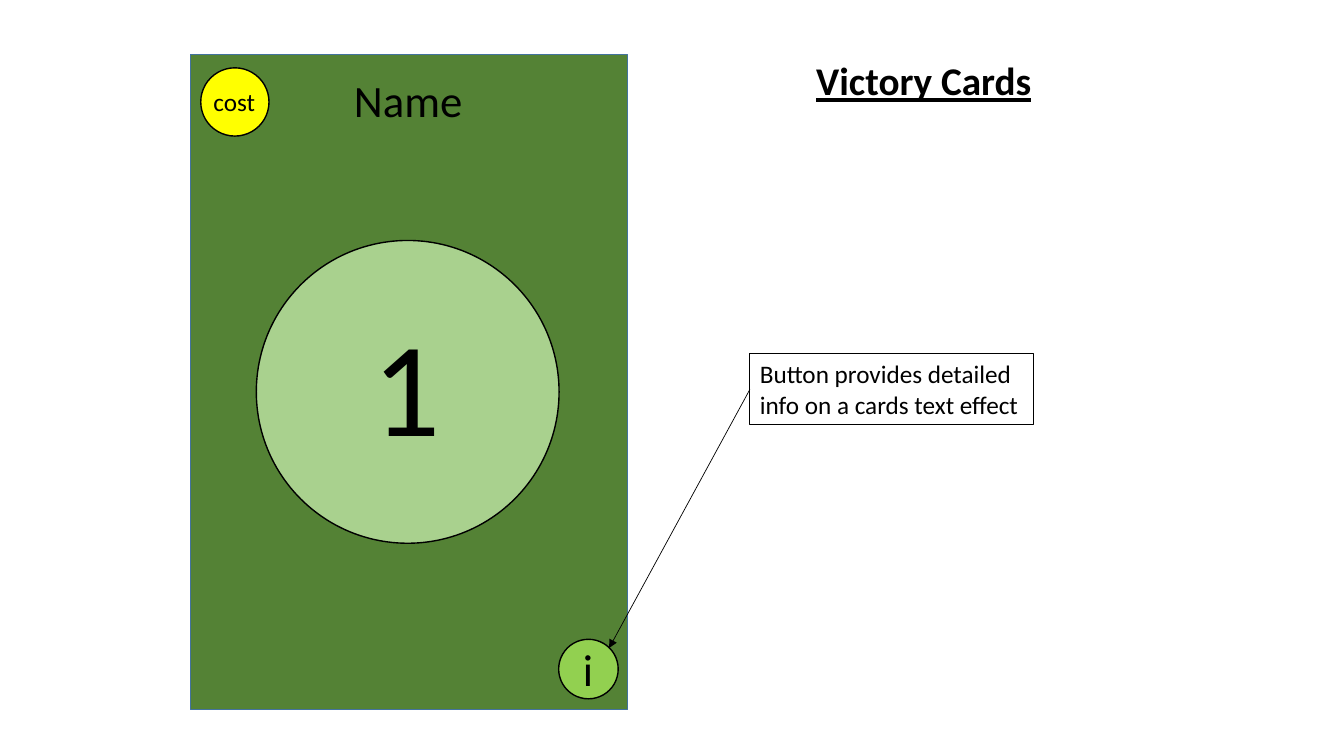
from dataclasses import dataclass

from lxml.etree import SubElement
from pptx import Presentation
from pptx.dml.color import RGBColor
from pptx.enum.shapes import MSO_CONNECTOR, MSO_SHAPE
from pptx.enum.text import MSO_ANCHOR, MSO_AUTO_SIZE, PP_ALIGN
from pptx.oxml.ns import qn
from pptx.util import Cm, Pt


@dataclass(frozen=True)
class Theme:
    """Colours, font and type sizes of the slide."""
    font: str = "Calibri"
    ink: str = "000000"
    card: str = "548235"
    card_edge: str = "43739E"
    cost: str = "FFFF00"
    info: str = "92D050"
    points: str = "A9D18E"
    small: int = 18
    title: int = 28
    label: int = 32
    huge: int = 96


THEME = Theme()


def rgb(value):
    """Turn a hex string into a colour."""
    return RGBColor.from_string(value)


def write(sp, text, size, bold=False, underline=False, wrap=False):
    """Put left-aligned text in a shape and format it."""
    tf = sp.text_frame
    tf.word_wrap = wrap
    tf.auto_size = MSO_AUTO_SIZE.NONE
    tf.vertical_anchor = MSO_ANCHOR.TOP
    tf.margin_left = tf.margin_right = Cm(0.25)
    tf.margin_top = tf.margin_bottom = Cm(0.13)
    p = tf.paragraphs[0]
    p.alignment = PP_ALIGN.LEFT
    r = p.add_run()
    r.text = text
    r.font.name = THEME.font
    r.font.size = Pt(size)
    r.font.bold = bold
    r.font.underline = underline
    r.font.color.rgb = rgb(THEME.ink)


def add_title(s, text, box):
    """Move and fill the title placeholder."""
    sp = s.shapes.title
    sp.left, sp.top, sp.width, sp.height = map(Cm, box)
    write(sp, text, THEME.title, bold=True, underline=True)


def add_label(shapes, text, box, size):
    """Add a text box on a single line."""
    write(shapes.add_textbox(*map(Cm, box)), text, size)


def add_panel(shapes, kind, box, fill=None, edge=THEME.ink, weight=1):
    """Add an outlined preset shape, filled if a colour is given."""
    sp = shapes.add_shape(kind, *map(Cm, box))
    sp.shadow.inherit = False
    if fill:
        sp.fill.solid()
        sp.fill.fore_color.rgb = rgb(fill)
    else:
        sp.fill.background()
    sp.line.color.rgb = rgb(edge)
    sp.line.width = Pt(weight)
    return sp


def add_disc(shapes, left, top, size, fill):
    """Add an outlined circle."""
    return add_panel(shapes, MSO_SHAPE.OVAL, (left, top, size, size), fill)


def add_arrow(s, source, x, y):
    """Draw an arrow from the left side of a shape to a point."""
    cxn = s.shapes.add_connector(MSO_CONNECTOR.STRAIGHT, 0, 0, Cm(x), Cm(y))
    cxn.begin_connect(source, 1)
    cxn.line.color.rgb = rgb(THEME.ink)
    cxn.line.width = Pt(0.5)
    SubElement(cxn.line._get_or_add_ln(), qn("a:tailEnd"), type="triangle")
    SubElement(cxn._element.spPr, qn("a:effectLst"))


def add_card(s):
    """Draw the card with its cost, name, info button and points."""
    add_panel(s.shapes, MSO_SHAPE.RECTANGLE, (4.8, 1.38, 11.02, 16.5),
              THEME.card, THEME.card_edge)
    add_disc(s.shapes, 5.06, 1.71, 1.72, THEME.cost)
    add_label(s.shapes, "cost", (5.13, 2.04, 1.58, 1.03), THEME.small)
    add_label(s.shapes, "Name", (8.67, 1.7, 3.28, 1.62), THEME.label)
    info = s.shapes.add_group_shape().shapes
    add_disc(info, 14.08, 16.11, 1.5, THEME.info)
    add_label(info, "i", (14.44, 16.05, 0.79, 1.62), THEME.label)
    add_disc(s.shapes, 6.46, 6.06, 7.63, THEME.points)
    add_label(s.shapes, "1", (9.15, 7.48, 2.23, 4.36), THEME.huge)


def main():
    """Build the slide and save it."""
    prs = Presentation()
    prs.slide_width, prs.slide_height = Cm(33.87), Cm(19.05)
    s = prs.slides.add_slide(prs.slide_layouts[5])
    add_title(s, "Victory Cards", (20.32, 1.3, 5.99, 1.45))
    add_card(s)
    note = add_panel(s.shapes, MSO_SHAPE.RECTANGLE,
                     (18.9, 8.91, 7.14, 1.8), weight=0.75)
    write(note, "Button provides detailed info on a cards text effect",
          THEME.small, wrap=True)
    add_arrow(s, note, 15.35, 16.33)
    prs.save("out.pptx")


main()
